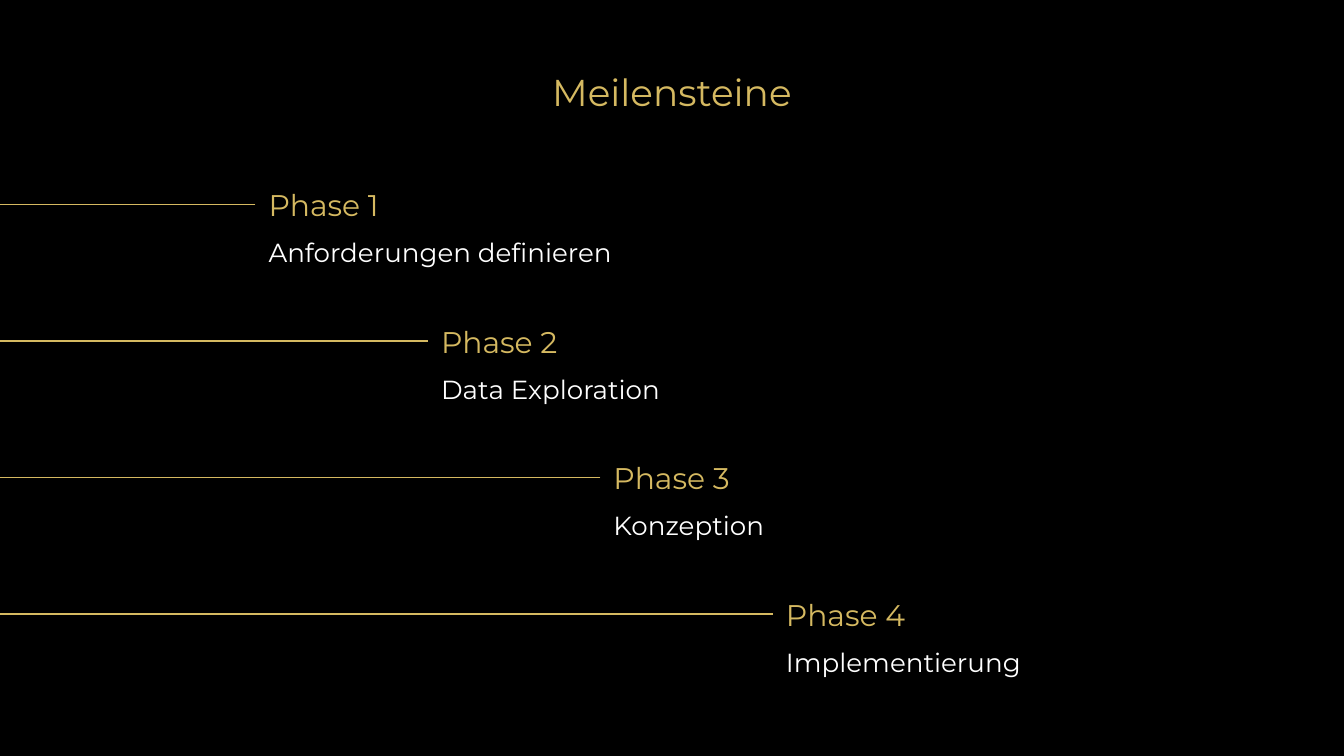
from lxml.etree import SubElement
from pptx import Presentation
from pptx.dml.color import RGBColor
from pptx.enum.shapes import MSO_CONNECTOR
from pptx.enum.text import MSO_ANCHOR as Anchor, PP_ALIGN as Align
from pptx.oxml.ns import qn
from pptx.util import Inches, Pt

BLACK = RGBColor(0x00, 0x00, 0x00)
GOLD = RGBColor(0xD5, 0xB9, 0x61)
WHITE = RGBColor(0xFF, 0xFF, 0xFF)

MILESTONES = [
    ("Phase 1", "Anforderungen definieren"),
    ("Phase 2", "Data Exploration"),
    ("Phase 3", "Konzeption"),
    ("Phase 4", "Implementierung"),
]
FIRST_LEFT, LAST_LEFT = 1.9, 5.75
FIRST_TOP, LAST_TOP = 1.29, 4.34


class SlideBuilder:
    font_name = "Montserrat"
    inset = Inches(0.1)
    line_width = Pt(0.75)

    def __init__(self, slide):
        self.slide = slide

    def background(self, color):
        fill = self.slide.background.fill
        fill.solid()
        fill.fore_color.rgb = color

    def text(self, wording, left, top, width, height, size, color,
             align=Align.LEFT, anchor=Anchor.TOP):
        box = self.slide.shapes.add_textbox(
            Inches(left), Inches(top), Inches(width), Inches(height))
        frame = box.text_frame
        frame.word_wrap = True
        frame.vertical_anchor = anchor
        frame.margin_left = frame.margin_right = self.inset
        frame.margin_top = frame.margin_bottom = self.inset
        paragraph = frame.paragraphs[0]
        paragraph.text = wording
        paragraph.alignment = align
        paragraph.font.name = self.font_name
        paragraph.font.size = Pt(size)
        paragraph.font.color.rgb = color

    def leader(self, right, y):
        """Draw a level line from the left slide edge."""
        line = self.slide.shapes.add_connector(
            MSO_CONNECTOR.STRAIGHT, Inches(right), Inches(y), Inches(0), Inches(y))
        line.line.color.rgb = GOLD
        line.line.width = self.line_width
        SubElement(line._element.spPr, qn("a:effectLst"))

    def milestone(self, phase, task, left, top):
        self.text(phase, left, top, 2.2, 0.47, 16, GOLD)
        self.text(task, left, top + 0.37, 3.77, 0.43, 14, WHITE)
        self.leader(left, top + 0.23)


def main():
    deck = Presentation()
    deck.slide_width = Inches(10)
    deck.slide_height = deck.slide_width * 9 // 16
    builder = SlideBuilder(deck.slides.add_slide(deck.slide_layouts[6]))
    builder.background(BLACK)
    builder.text("Meilensteine", 2.32, 0.4, 5.36, 0.55, 20, GOLD,
                 Align.CENTER, Anchor.BOTTOM)

    steps = len(MILESTONES) - 1
    for index, (phase, task) in enumerate(MILESTONES):
        left = FIRST_LEFT + index * (LAST_LEFT - FIRST_LEFT) / steps
        top = FIRST_TOP + index * (LAST_TOP - FIRST_TOP) / steps
        builder.milestone(phase, task, left, top)

    deck.save("out.pptx")


if __name__ == "__main__":
    main()
